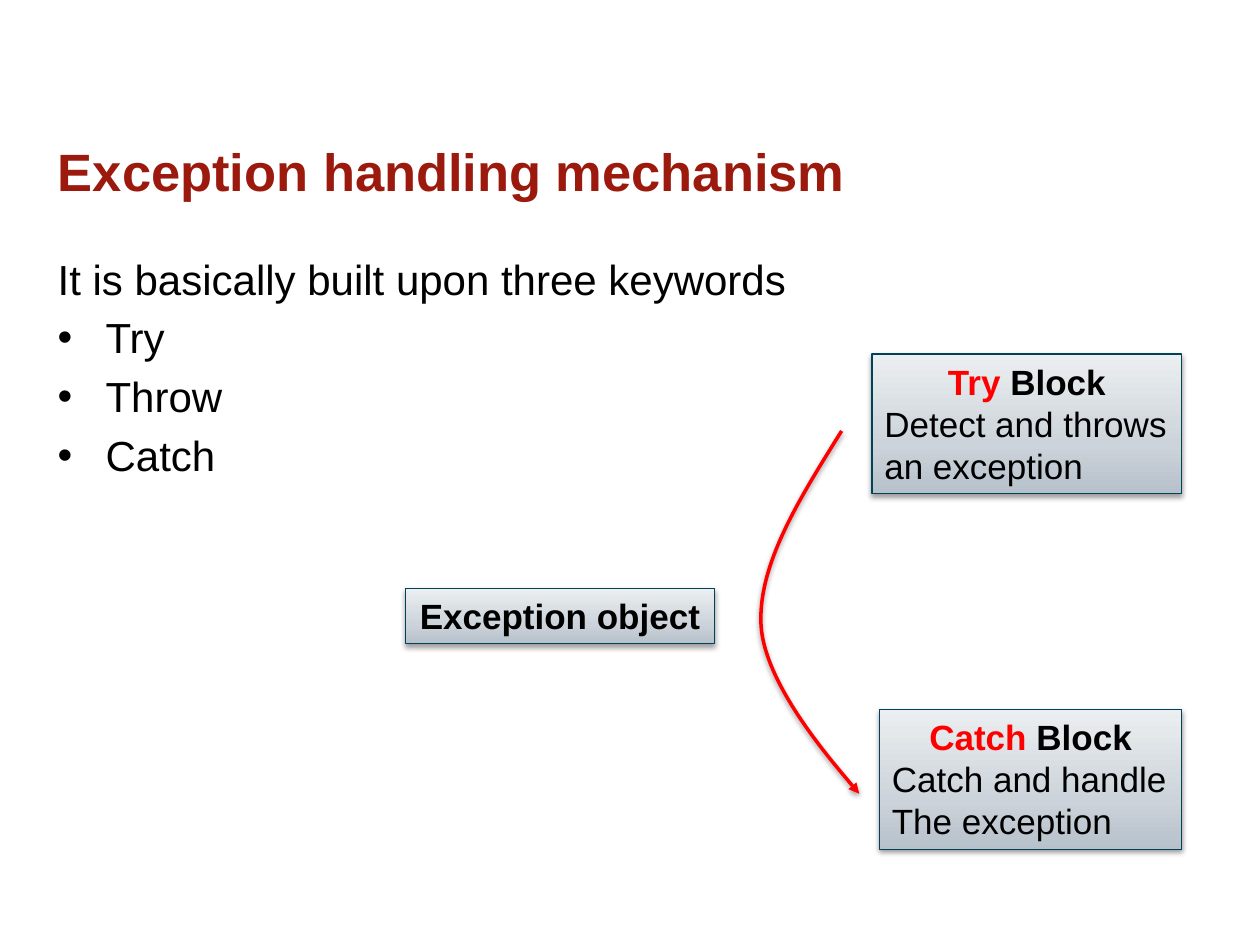
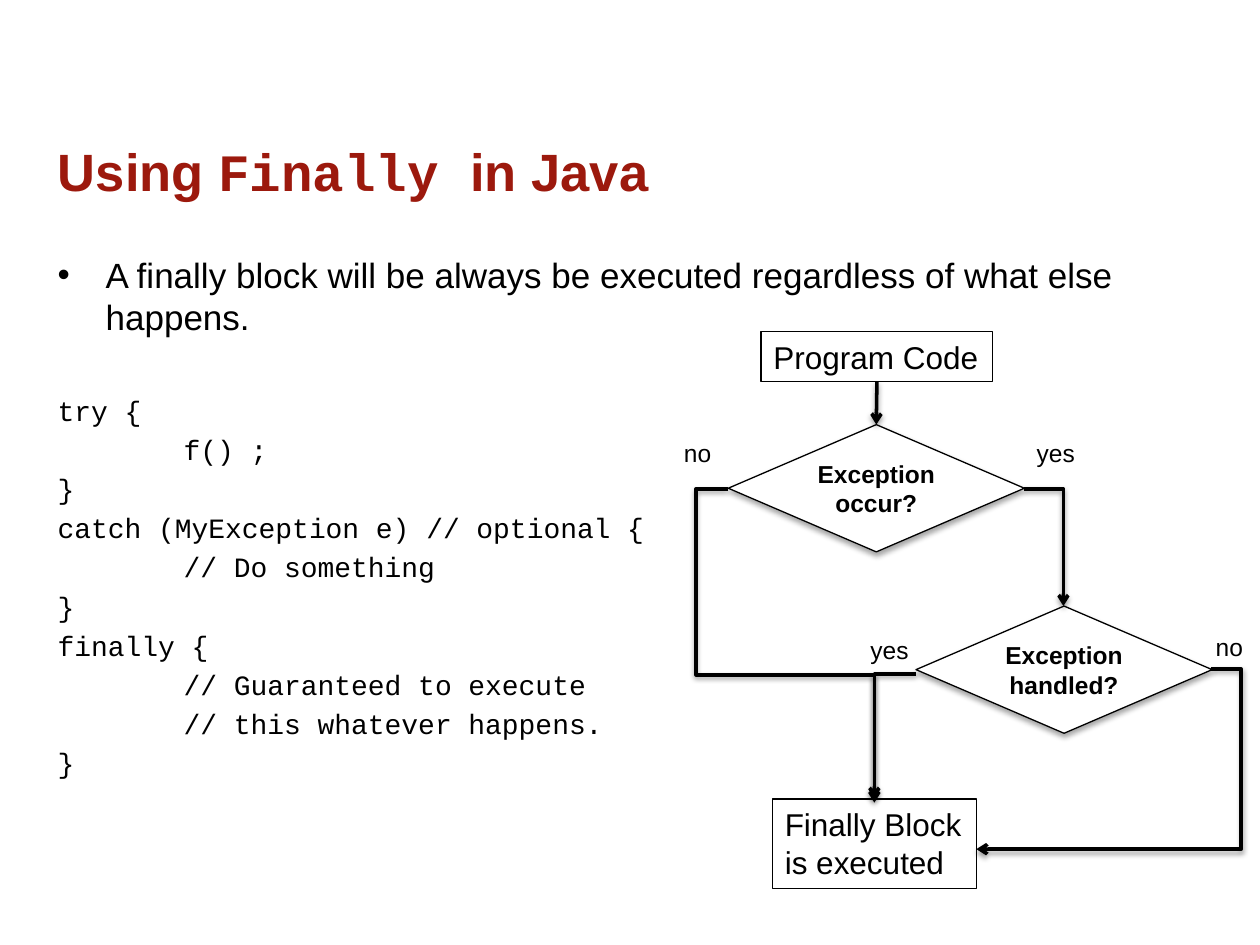
from lxml import etree
from pptx import Presentation
from pptx.dml.color import RGBColor
from pptx.enum.shapes import MSO_CONNECTOR as Link, MSO_SHAPE as Form
from pptx.enum.text import MSO_ANCHOR as Anchor, MSO_AUTO_SIZE as Fit, PP_ALIGN as Align
from pptx.oxml.ns import qn
from pptx.util import Inches, Pt

BLACK = RGBColor(0, 0, 0)
WHITE = RGBColor(255, 255, 255)
RED = RGBColor(255, 0, 0)
MAROON = RGBColor(0x9C, 0x19, 0x0D)
TEAL = RGBColor(0, 0x42, 0x57)
STEEL = [(0, "B6C1CB"), (35, "CCD3DA"), (100, "ECEFF1")]
SANS = "Arial"
MONO = "Courier New"


def node(home, tag, **attrs):
    """Append a child element with the given attributes."""
    kid = etree.SubElement(home, qn(tag))
    for key, value in attrs.items():
        kid.set(key, str(value))
    return kid


def spots(*nums):
    return [Inches(num) for num in nums]


class Deck:
    def __init__(self):
        self.prs = Presentation()
        self.prs.slide_width, self.prs.slide_height = spots(10, 7.5)
        self.slide = None

    @property
    def shapes(self):
        return self.slide.shapes

    def page(self, *runs):
        """Start a slide whose title holds (text, font) runs."""
        self.slide = self.prs.slides.add_slide(self.prs.slide_layouts[5])
        title = self.shapes.title
        title.left, title.top, title.width, title.height = spots(0.36, 0.99, 9.28, 0.72)
        frame = title.text_frame
        frame.auto_size = Fit.NONE
        frame.vertical_anchor = Anchor.MIDDLE
        para = frame.paragraphs[0]
        para.alignment = Align.LEFT
        for text, font in runs:
            self.run(para, text, 30, MAROON, True, font)

    def run(self, para, text, size, color=BLACK, bold=False, font=SANS):
        run = para.add_run()
        run.text = text
        face = run.font
        face.size, face.bold, face.name = Pt(size), bold, font
        face.color.rgb = color

    def line(self, frame, align=Align.LEFT):
        """Return the next paragraph, using the empty first one if it is free."""
        first = frame.paragraphs[0]
        para = frame.add_paragraph() if first.runs else first
        para.alignment = align
        return para

    def text(self, *area):
        box = self.shapes.add_textbox(*spots(*area))
        box.text_frame.word_wrap = True
        return box.text_frame

    def item(self, frame, text, size, font=SANS, bullet=False, indent=0, gap=None):
        """Add a body line, set off by 20 % or by a gap in points."""
        para = self.line(frame)
        props = para._p.get_or_add_pPr()
        if bullet:
            indent = 0.38
            props.set("indent", str(-Inches(indent)))
        props.set("marL", str(Inches(indent)))
        if gap:
            para.space_before = Pt(gap)
        else:
            node(node(props, "a:spcBef"), "a:spcPct", val=20000)
        if bullet:
            node(props, "a:buFont", typeface=SANS)
            node(props, "a:buChar", char="•")
        self.run(para, text, size, font=font)

    def label(self, text, left, top, width=0.84):
        para = self.line(self.text(left, top, width, 0.34))
        self.run(para, text, 14)

    def shade(self, shape, alpha=38, dist=1.6):
        props = shape._element.spPr
        effects = props.find(qn("a:effectLst"))
        if effects is None:
            effects = node(props, "a:effectLst")
        glow = node(effects, "a:outerShdw", blurRad=Pt(3.1), dist=Pt(dist),
                    dir=90 * 60000, rotWithShape=0)
        node(node(glow, "a:srgbClr", val="000000"), "a:alpha", val=alpha * 1000)

    def shape(self, form, area, edge=BLACK):
        shape = self.shapes.add_shape(form, *spots(*area))
        shape.shadow.inherit = False
        shape.fill.background()
        shape.line.color.rgb = edge
        shape.line.width = Pt(0.75)
        return shape

    def hug(self, shape):
        """Fit a shape to its unwrapped text."""
        frame = shape.text_frame
        frame.word_wrap = False
        frame.auto_size = Fit.SHAPE_TO_FIT_TEXT
        frame.vertical_anchor = Anchor.TOP
        return frame

    def step(self, area, *lines):
        box = self.shape(Form.RECTANGLE, area)
        frame = self.hug(box)
        for text in lines:
            self.run(self.line(frame), text, 18)
        return box

    def block(self, area, head, *lines):
        """Add a steel box with a bold head of (text, color) runs."""
        box = self.shape(Form.RECTANGLE, area, TEAL)
        box.fill.gradient()
        box.fill.gradient_angle = 90
        stops = box._element.spPr.find(qn("a:gradFill")).find(qn("a:gsLst"))
        for stop in list(stops):
            stops.remove(stop)
        for pos, color in STEEL:
            node(node(stops, "a:gs", pos=pos * 1000), "a:srgbClr", val=color)
        self.shade(box)
        frame = self.hug(box)
        para = self.line(frame, Align.CENTER)
        for text, color in head:
            self.run(para, text, 20, color, True)
        for text in lines:
            self.run(self.line(frame), text, 20)

    def choice(self, left, top, text):
        gem = self.shape(Form.DIAMOND, (left, top, 2.35, 1.01))
        gem.fill.solid()
        gem.fill.fore_color.rgb = WHITE
        self.shade(gem, 35, 1.8)
        frame = gem.text_frame
        frame.word_wrap = True
        frame.vertical_anchor = Anchor.MIDDLE
        self.run(self.line(frame, Align.CENTER), text, 14, bold=True)
        return gem

    def stroke(self, shape, color, tip):
        shape.line.color.rgb = color
        shape.line.width = Pt(2)
        node(shape.line._get_or_add_ln(), "a:tailEnd", type=tip)
        self.shade(shape)

    def join(self, start, end):
        """Draw an arrow from the bottom of one shape to the top of another."""
        arrow = self.shapes.add_connector(Link.STRAIGHT, 0, 0, 0, 0)
        arrow.begin_connect(start, 2)
        arrow.end_connect(end, 0)
        self.stroke(arrow, BLACK, "arrow")

    def elbow(self, start, end, kind, *bends):
        arrow = self.shapes.add_connector(Link.ELBOW, *spots(*start, *end))
        geom = arrow._element.spPr.find(qn("a:prstGeom"))
        geom.set("prst", f"bentConnector{kind}")
        guides = geom.find(qn("a:avLst"))
        if guides is None:
            guides = node(geom, "a:avLst")
        for num, bend in enumerate(bends, 1):
            node(guides, "a:gd", name=f"adj{num}", fmla=f"val {round(bend * 100000)}")
        self.stroke(arrow, BLACK, "arrow")

    def curve(self, start, *points):
        """Draw a red arrow along cubic curves, three points to each."""
        build = self.shapes.build_freeform(*spots(*start))
        build.add_line_segments([spots(*point) for point in points], close=False)
        shape = build.convert_to_shape()
        shape.shadow.inherit = False
        shape.fill.background()
        track = next(shape._element.iter(qn("a:path")))
        legs = track.findall(qn("a:lnTo"))
        for num, leg in enumerate(legs):
            if num % 3 == 0:
                cubic = node(track, "a:cubicBezTo")
            cubic.append(leg[0])
            track.remove(leg)
        self.stroke(shape, RED, "triangle")


def keywords(deck):
    deck.page(("Exception handling mechanism", SANS))
    body = deck.text(0.36, 1.96, 9.28, 4.78)
    deck.item(body, "It is basically built upon three keywords", 24)
    for word in ("Try", "Throw", "Catch"):
        deck.item(body, word, 24, bullet=True)
    deck.block((6.92, 2.81, 2.46, 1.11), [("Try", RED), (" Block", BLACK)],
               "Detect and throws", "an exception")
    deck.block((6.98, 5.63, 2.4, 1.11), [("Catch", RED), (" Block", BLACK)],
               "Catch and handle", "The exception")
    deck.block((3.22, 4.67, 2.45, 0.44), [("Exception object", BLACK)])
    deck.curve((6.68, 3.42), (6.35, 3.95), (6.02, 4.47), (6.04, 4.95),
               (6.06, 5.43), (6.82, 6.3), (6.82, 6.3))


def finals(deck):
    deck.page(("Using ", SANS), ("Finally ", MONO), ("in Java", SANS))
    body = deck.text(0.36, 1.96, 9.28, 4.78)
    deck.item(body, "A finally block will be always be executed regardless of "
              "what else happens.", 20, bullet=True)
    code = [("try {", 0), ("f() ;", 1), ("}", 0),
            ("catch (MyException e) // optional {", 0), ("// Do something", 1), ("}", 0),
            ("finally {", 0), ("// Guaranteed to execute", 1),
            ("// this whatever happens.", 1), ("}", 0)]
    for num, (text, depth) in enumerate(code):
        deck.item(body, text, 16, MONO, indent=depth, gap=None if num else 32)

    start = deck.step((6.04, 2.63, 1.84, 0.4), "Program Code")
    occur = deck.choice(5.78, 3.37, "Exception occur?")
    deck.join(start, occur)
    deck.choice(7.27, 4.81, "Exception handled?")
    deck.elbow((8.13, 3.88), (8.44, 4.81), 2)
    deck.step((6.13, 6.34, 1.62, 0.71), "Finally Block", "is executed")
    deck.elbow((5.78, 3.88), (6.94, 6.34), 4, -0.22, 0.6)
    deck.elbow((7.27, 5.35), (6.94, 6.37), 2)
    deck.elbow((9.61, 5.31), (7.75, 6.74), 3, -0.13)
    deck.label("yes", 8.13, 3.43)
    deck.label("no", 5.33, 3.43)
    deck.label("yes", 6.81, 4.99)
    deck.label("no", 9.55, 4.97, 0.45)


def main():
    deck = Deck()
    keywords(deck)
    finals(deck)
    deck.prs.save("out.pptx")


if __name__ == "__main__":
    main()
